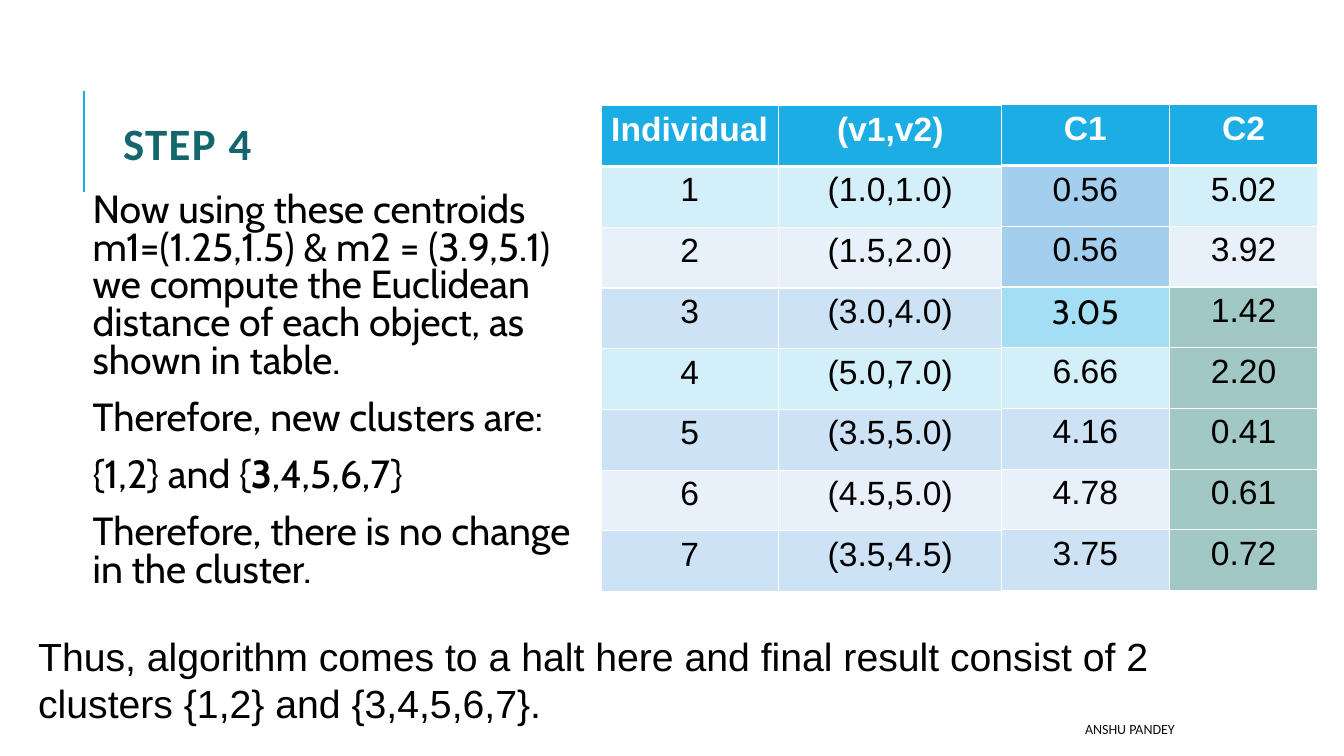
from lxml import etree
from pptx import Presentation
from pptx.dml.color import RGBColor
from pptx.enum.shapes import MSO_CONNECTOR
from pptx.enum.text import MSO_ANCHOR, MSO_AUTO_SIZE, PP_ALIGN
from pptx.oxml.ns import qn
from pptx.util import Inches, Pt

LEFT, CENTER, RIGHT = PP_ALIGN.LEFT, PP_ALIGN.CENTER, PP_ALIGN.RIGHT
TOP, MIDDLE = MSO_ANCHOR.TOP, MSO_ANCHOR.MIDDLE

# Content
TITLE = "STEP 4"
BODY = [
    [("Now using these centroids m1=(1.25,1.5) & m2 = (3.9,5.1) we compute "
      "the Euclidean distance of each object, as shown in table.", False)],
    [("Therefore, new clusters are:", False)],
    [("{1,2} and {", False), ("3", True), (",4,5,6,7}", False)],
    [("Therefore, there is no change in the cluster.", False)],
]
CONCLUSION = ("Thus, algorithm comes to a halt here and final result consist "
              "of 2 clusters {1,2} and {3,4,5,6,7}.")
FOOTER = "ANSHU PANDEY"
POINTS = [
    ("Individual", "(v1,v2)"),
    ("1", "(1.0,1.0)"), ("2", "(1.5,2.0)"), ("3", "(3.0,4.0)"),
    ("4", "(5.0,7.0)"), ("5", "(3.5,5.0)"), ("6", "(4.5,5.0)"),
    ("7", "(3.5,4.5)"),
]
DISTANCES = [
    ("C1", "C2"),
    ("0.56", "5.02"), ("0.56", "3.92"), ("3.05", "1.42"), ("6.66", "2.20"),
    ("4.16", "0.41"), ("4.78", "0.61"), ("3.75", "0.72"),
]

# Colours: one per row, with the nearest centroid's cells picked out
ACCENT, TEAL, BLACK, WHITE = "1CADE4", "13676C", "000000", "FFFFFF"
AQUA, PALE, SKY = "D2EFFA", "E8F1FA", "CDE3F5"
ROW_FILLS = [ACCENT, AQUA, PALE, SKY, AQUA, SKY, PALE, SKY]
NEAREST = {(1, 0): "A3CEED", (2, 0): "A3CEED", (3, 0): "A4DEF4"}
NEAREST.update({(row, 1): "A1C8C5" for row in range(3, 8)})

TABLE_HEIGHT = 4.82


def rgb(value):
    return RGBColor.from_string(value)


def add_run(p, text, size, font, color, bold=False):
    r = p.add_run()
    r.text = text
    for name, value in {"size": Pt(size), "name": font, "bold": bold}.items():
        setattr(r.font, name, value)
    r.font.color.rgb = rgb(color)
    return r


def set_frame(tf, anchor=TOP, margin=None):
    values = {"word_wrap": True, "auto_size": MSO_AUTO_SIZE.NONE,
              "vertical_anchor": anchor}
    if margin is not None:
        for side in ("left", "top", "right", "bottom"):
            values["margin_" + side] = Inches(margin)
    for name, value in values.items():
        setattr(tf, name, value)
    return tf


def add_box(s, box, **frame):
    sp = s.shapes.add_textbox(*map(Inches, box))
    return set_frame(sp.text_frame, **frame)


def add_border(tc_pr, side, width):
    ln = etree.SubElement(tc_pr, qn("a:ln" + side), w=str(Pt(width)))
    fill = etree.SubElement(ln, qn("a:solidFill"))
    etree.SubElement(fill, qn("a:srgbClr"), val=WHITE)


def add_grid(s, left, top, widths, rows, fills, fonts):
    shape = s.shapes.add_table(len(rows), len(widths), Inches(left), Inches(top),
                               Inches(sum(widths)), Inches(TABLE_HEIGHT))
    table = shape.table
    table.horz_banding = False
    for column, width in zip(table.columns, widths):
        column.width = Inches(width)
    for i, row in enumerate(rows):
        table.rows[i].height = Inches(TABLE_HEIGHT / len(rows))
        header = i == 0
        for j, text in enumerate(row):
            cell = table.cell(i, j)
            tc_pr = cell._tc.get_or_add_tcPr()
            for side in "LRTB":
                heavy = (header and side == "B") or (i == 1 and side == "T")
                add_border(tc_pr, side, 3 if heavy else 1)
            cell.fill.solid()
            cell.fill.fore_color.rgb = rgb(fills.get((i, j), ROW_FILLS[i]))
            p = cell.text_frame.paragraphs[0]
            p.alignment = CENTER
            add_run(p, text, 24, fonts.get((i, j), "Arial"),
                    WHITE if header else BLACK, header)


prs = Presentation()
prs.slide_width, prs.slide_height = Inches(13.33), Inches(7.5)
s = prs.slides.add_slide(prs.slide_layouts[5])

# Title and the rule beside it
title = s.shapes.title
for name, value in zip(("left", "top", "width", "height"), (1.12, 0.64, 10.63, 1.64)):
    setattr(title, name, Inches(value))
p = set_frame(title.text_frame, anchor=MIDDLE).paragraphs[0]
p.alignment, p.line_spacing = LEFT, 0.8
r = add_run(p, TITLE, 32, "Calibri", TEAL, True)
r.font._element.set("spc", "100")

rule = s.shapes.add_connector(MSO_CONNECTOR.STRAIGHT, Inches(0.83), Inches(1.9),
                              Inches(0.83), Inches(0.9))
rule.line.color.rgb = rgb(ACCENT)
rule.line.width = Pt(1.5)
etree.SubElement(rule._element.spPr, qn("a:effectLst"))

# Explanation
tf = add_box(s, (0.77, 1.87, 5.1, 4.4), margin=0.05)
for i, runs in enumerate(BODY):
    p = tf.add_paragraph() if i else tf.paragraphs[0]
    for name, value in {"line_spacing": 0.8, "space_before": Pt(12),
                        "space_after": Pt(2)}.items():
        setattr(p, name, value)
    p._p.get_or_add_pPr().set("marL", str(Inches(0.1)))
    for text, bold in runs:
        add_run(p, text, 28, "Cabin", BLACK, bold)

# Conclusion
tf = add_box(s, (0.28, 6.22, 12.61, 1.04))
add_run(tf.paragraphs[0], CONCLUSION, 28, "Arial", BLACK)

# Tables of points and of distances to the centroids
add_grid(s, 5.96, 1.05, (1.76, 2.22), POINTS, {}, {})
add_grid(s, 9.93, 1.04, (1.67, 1.47), DISTANCES, NEAREST, {(3, 0): "Cabin"})

# Footer
tf = add_box(s, (5.3, 7.08, 6.45, 0.3), anchor=MIDDLE)
tf.paragraphs[0].alignment = RIGHT
add_run(tf.paragraphs[0], FOOTER, 10, "Calibri", "0D0D0D")

prs.save("out.pptx")
